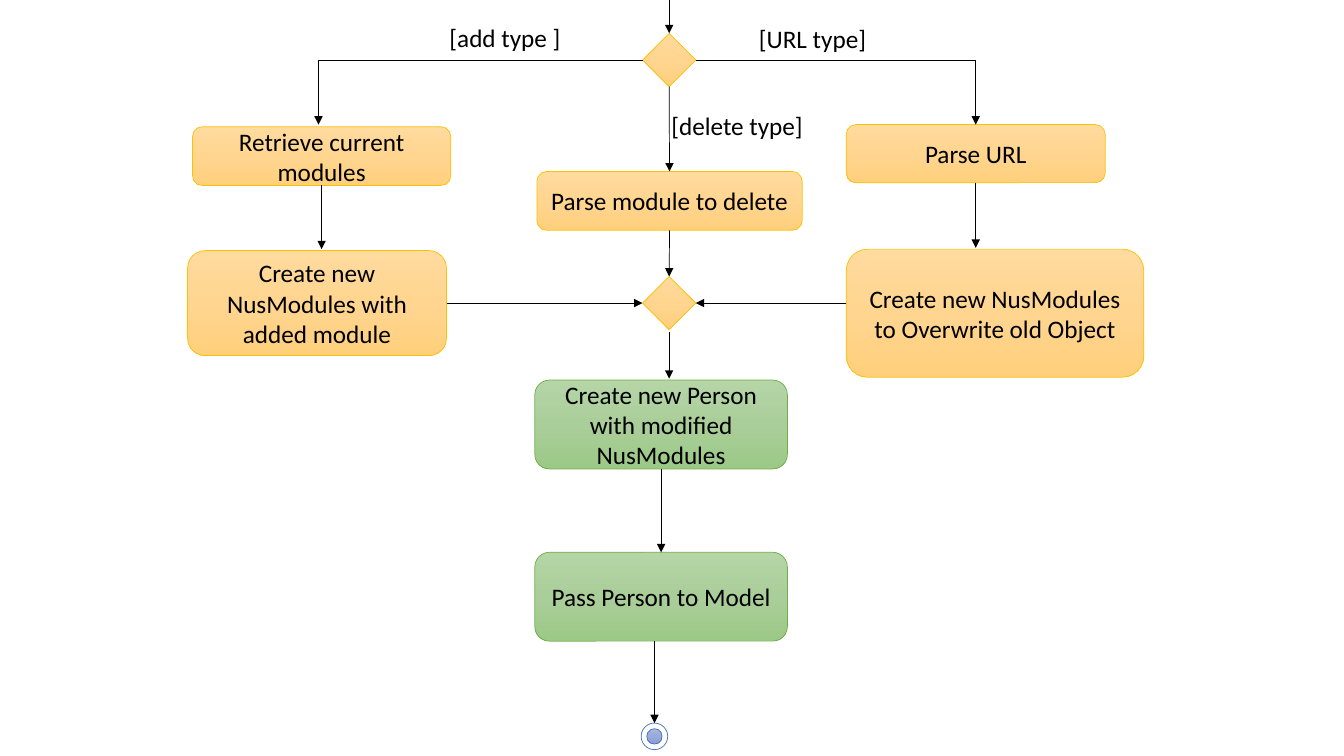
from copy import deepcopy
from dataclasses import dataclass

from lxml.etree import SubElement
from pptx import Presentation
from pptx.dml.color import RGBColor
from pptx.enum.shapes import MSO_CONNECTOR, MSO_SHAPE
from pptx.enum.text import MSO_ANCHOR, PP_ALIGN
from pptx.oxml.ns import qn
from pptx.util import Pt

TOP, LEFT, BOTTOM, RIGHT = range(4)


@dataclass(frozen=True)
class Theme:
    font: str = "Calibri"
    size: float = 18
    line_width: float = 0.5
    ink: str = "000000"
    white: tuple = ("FFFFFF",)
    amber: tuple = ("FFDB9E", "FFD590", "FFD07C")
    amber_line: str = "FFC000"
    green: tuple = ("B5D5A7", "AACE9A", "9CC987")
    green_line: str = "70AD47"
    blue: tuple = ("A8B7DF", "9AABD9", "889ED7")
    blue_line: str = "4472C4"


class Diagram:
    def __init__(self, slide, theme):
        self.shapes = slide.shapes
        self.theme = theme

    def style_text(self, sp, text, align):
        tf = sp.text_frame
        tf.text = text
        tf.word_wrap = True
        p = tf.paragraphs[0]
        p.alignment = align
        font = p.runs[0].font
        font.name = self.theme.font
        font.size = Pt(self.theme.size)
        font.color.rgb = RGBColor.from_string(self.theme.ink)

    def paint(self, sp, colors, line):
        """Fill with one solid colour or an evenly spaced top-to-bottom gradient."""
        sp.shadow.inherit = False
        sp.line.color.rgb = RGBColor.from_string(line)
        sp.line.width = Pt(self.theme.line_width)
        if len(colors) == 1:
            sp.fill.solid()
            sp.fill.fore_color.rgb = RGBColor.from_string(colors[0])
            return
        sp.fill.gradient()
        sp.fill.gradient_angle = 270
        stops = sp._element.spPr.find(qn("a:gradFill")).find(qn("a:gsLst"))
        stops.insert(1, deepcopy(stops[0]))
        for i, (stop, color) in enumerate(zip(sp.fill.gradient_stops, colors)):
            stop.position = i / (len(colors) - 1)
            stop.color.rgb = RGBColor.from_string(color)

    def shape(self, kind, box, colors, line, parent=None):
        sp = (parent or self.shapes).add_shape(kind, *map(Pt, box))
        self.paint(sp, colors, line)
        return sp

    def decision(self, x, y):
        return self.shape(MSO_SHAPE.DIAMOND, (x, y, 38, 38),
                          self.theme.amber, self.theme.amber_line)

    def step(self, text, box, green=False):
        t = self.theme
        colors, line = (t.green, t.green_line) if green else (t.amber, t.amber_line)
        sp = self.shape(MSO_SHAPE.ROUNDED_RECTANGLE, box, colors, line)
        sp.text_frame.vertical_anchor = MSO_ANCHOR.MIDDLE
        self.style_text(sp, text, PP_ALIGN.CENTER)
        return sp

    def label(self, text, x, y, w):
        sp = self.shapes.add_textbox(Pt(x), Pt(y), Pt(w), Pt(29))
        self.style_text(sp, text, PP_ALIGN.LEFT)

    def final_node(self, x, y):
        t = self.theme
        group = self.shapes.add_group_shape().shapes
        ring = self.shape(MSO_SHAPE.OVAL, (x, y, 19, 19), t.white, t.blue_line, group)
        self.shape(MSO_SHAPE.OVAL, (x + 4, y + 4, 11, 11), t.blue, t.blue_line, group)
        return ring

    def flow(self, start, end, arrow=True):
        """Draw a line; each end is (x, y) in points or (shape, side)."""
        cn = self.shapes.add_connector(MSO_CONNECTOR.STRAIGHT, 0, 0, 0, 0)
        if hasattr(start[0], "shape_id"):
            cn.begin_connect(*start)
        else:
            cn.begin_x, cn.begin_y = map(Pt, start)
        if hasattr(end[0], "shape_id"):
            cn.end_connect(*end)
        else:
            cn.end_x, cn.end_y = map(Pt, end)
        cn.line.color.rgb = RGBColor.from_string(self.theme.ink)
        cn.line.width = Pt(self.theme.line_width)
        if arrow:
            SubElement(cn.line._get_or_add_ln(), qn("a:tailEnd"), type="triangle")
        SubElement(cn._element.spPr, qn("a:effectLst"))


def main():
    prs = Presentation()
    prs.slide_width, prs.slide_height = Pt(960), Pt(540)
    d = Diagram(prs.slides.add_slide(prs.slide_layouts[6]), Theme())

    choice = d.decision(459, 23.8)
    merge = d.decision(459, 197.5)
    retrieve = d.step("Retrieve current modules", (137.5, 90.5, 184.5, 42))
    added = d.step("Create new NusModules with added module", (134, 179, 185, 75))
    parse_module = d.step("Parse module to delete", (383.5, 122.5, 189.5, 42))
    parse_url = d.step("Parse URL", (604.5, 89, 185, 41.5))
    d.step("Create new NusModules to Overwrite old Object", (604.5, 178, 212.5, 91.5))
    person = d.step("Create new Person with modified NusModules",
                    (382, 271.5, 180.5, 63.5), green=True)
    model = d.step("Pass Person to Model", (382, 394.5, 180.5, 63.5), green=True)
    final = d.final_node(458, 516.5)

    d.label("[add type ]", 314, 12.5, 103)
    d.label("[URL type]", 535, 13, 163)
    d.label("[delete type]", 472.5, 75, 112)

    add_x, url_x, branch_y = 227.5, 697, 42.8
    d.flow((478, 0), (choice, TOP))
    d.flow((choice, LEFT), (add_x, branch_y), arrow=False)
    d.flow((add_x, branch_y), (add_x, 89))
    d.flow((choice, RIGHT), (url_x, branch_y), arrow=False)
    d.flow((url_x, branch_y), (parse_url, TOP))
    d.flow((choice, BOTTOM), (parse_module, TOP))
    d.flow((retrieve, BOTTOM), (229.75, 178))
    d.flow((parse_url, BOTTOM), (url_x, 177))
    d.flow((parse_module, BOTTOM), (merge, TOP))
    d.flow((added, RIGHT), (merge, LEFT))
    d.flow((604.5, 216.5), (merge, RIGHT))
    d.flow((478, 237), (478, 270.5))
    d.flow((person, BOTTOM), (model, TOP))
    d.flow((467.5, 458), (final, TOP))

    prs.save("out.pptx")


if __name__ == "__main__":
    main()
